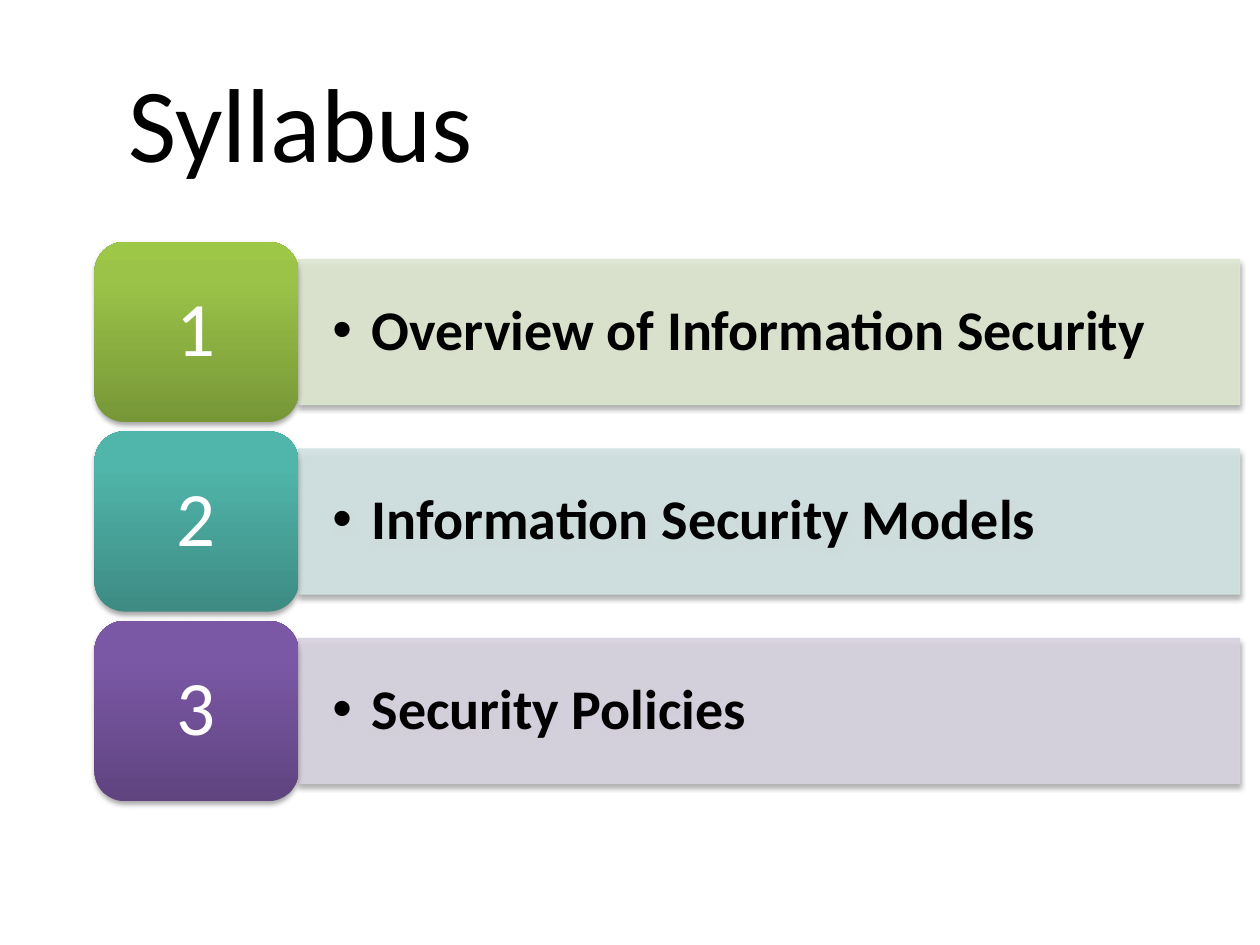
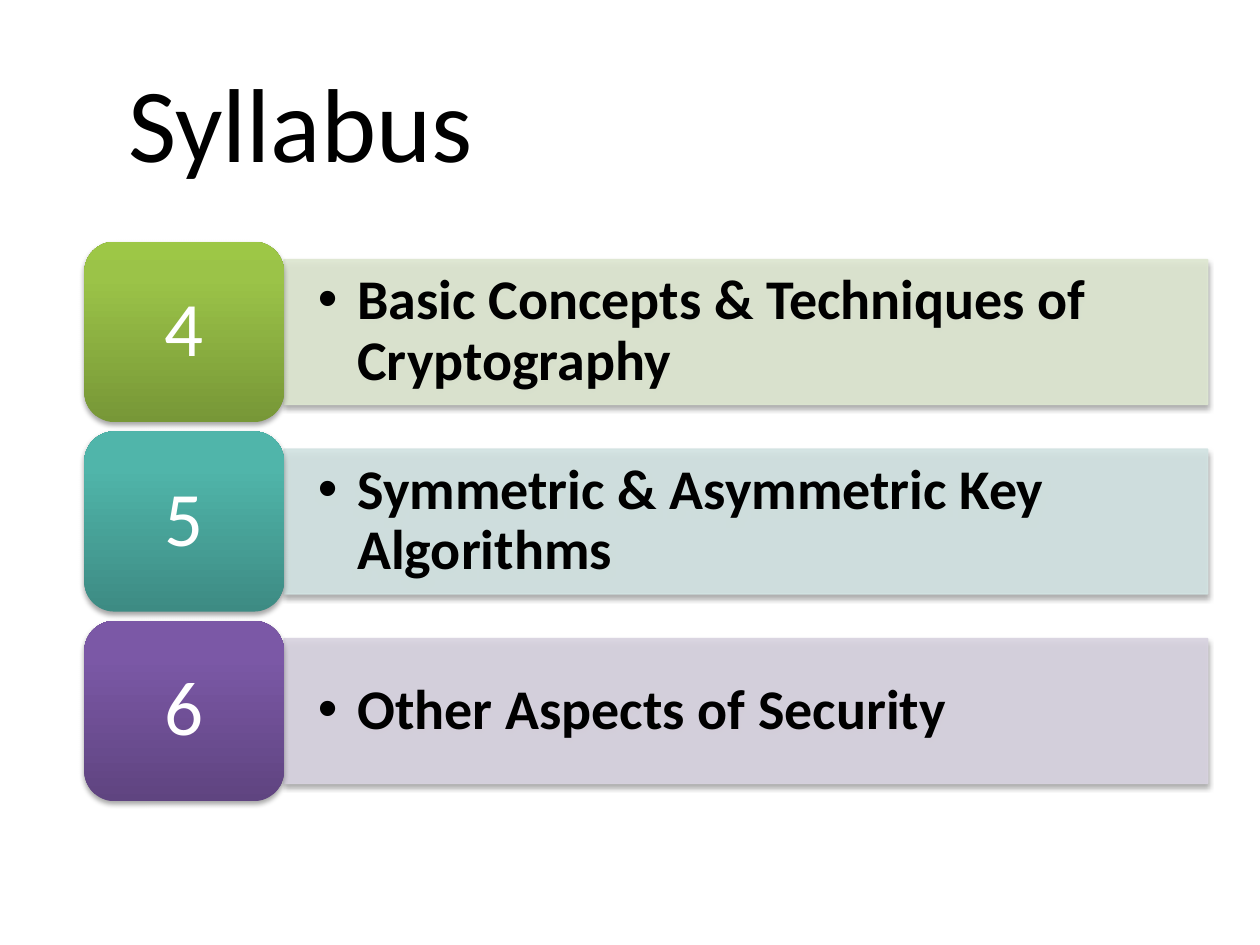
"""Build two syllabus slides with numbered topic rows."""
from copy import deepcopy

from lxml import etree
from pptx import Presentation
from pptx.dml.color import RGBColor
from pptx.enum.shapes import MSO_SHAPE
from pptx.enum.text import MSO_ANCHOR, PP_ALIGN
from pptx.oxml.ns import qn
from pptx.util import Pt

RECT, ROUND = MSO_SHAPE.RECTANGLE, MSO_SHAPE.ROUNDED_RECTANGLE
MIDDLE = MSO_ANCHOR.MIDDLE
LEFT, CENTER = PP_ALIGN.LEFT, PP_ALIGN.CENTER

TOP, STEP = 138.2, 108.3
TILE_H, BAR_H = 103, 82.8
STOPS = (0, 0.8, 1)
ROWS = (
    ("DEE7D1", ("779737", "9BC348", "9DC746")),
    ("D2E3E2", ("3D8B83", "50B5AA", "4EB8AC")),
    ("D8D3E0", ("5F4480", "7B58A6", "7C57A8")),
)
PAGES = (
    (54, 116.6, 537.8, 1, (
        "Overview of Information Security",
        "Information Security Models",
        "Security Policies")),
    (48.2, 114.1, 527.8, 4, (
        "Basic Concepts & Techniques of Cryptography",
        "Symmetric & Asymmetric Key Algorithms",
        "Other Aspects of Security")),
)


def rgb(code):
    return RGBColor.from_string(code)


def apply(obj, form):
    for name, value in form.items():
        setattr(obj, name, value)


def add(parent, tag, **attrs):
    return etree.SubElement(
        parent, qn(tag), {key: str(value) for key, value in attrs.items()})


class Deck:
    face = "Calibri"
    title_font = {"size": Pt(60), "bold": False}
    tile_font = {"size": Pt(44), "bold": False}
    bar_font = {"size": Pt(32), "bold": True}

    def __init__(self):
        self.prs = Presentation()
        apply(self.prs, {"slide_width": Pt(720), "slide_height": Pt(540)})
        self.slide = None

    def page(self, text):
        self.slide = self.prs.slides.add_slide(self.prs.slide_layouts[5])
        head = self.slide.shapes.title
        apply(head, {"left": Pt(66.2), "top": Pt(23.8),
                     "width": Pt(635.8), "height": Pt(90)})
        self.label(head, text, self.title_font, "000000", LEFT)

    def label(self, shape, text, font, color, align, pad=(7.2, 3.6)):
        frame = shape.text_frame
        side, edge = map(Pt, pad)
        apply(frame, {"word_wrap": True, "vertical_anchor": MIDDLE,
                      "margin_left": side, "margin_right": side,
                      "margin_top": edge, "margin_bottom": edge})
        para = frame.paragraphs[0]
        para.alignment = align
        run = para.add_run()
        run.text = text
        apply(run.font, {"name": self.face, **font})
        run.font.color.rgb = rgb(color)
        return para

    def box(self, kind, *place):
        return self.slide.shapes.add_shape(kind, *map(Pt, place))

    def shade(self, shape):
        shape.shadow.inherit = False
        effect = shape.element.spPr.find(qn("a:effectLst"))
        cast = add(effect, "a:outerShdw", blurRad=Pt(3.1), dist=Pt(1.8),
                   dir=5400000, rotWithShape=0)
        tint = add(cast, "a:srgbClr", val="000000")
        add(tint, "a:alpha", val=35000)

    def bar(self, place, text, color):
        shape = self.box(RECT, *place)
        shape.fill.solid()
        shape.fill.fore_color.rgb = rgb(color)
        shape.line.color.rgb = rgb(color)
        shape.line.width = Pt(0.75)
        for tint in shape.element.spPr.iter(qn("a:srgbClr")):
            add(tint, "a:alpha", val=90000)
        self.shade(shape)
        para = self.label(shape, text, self.bar_font, "000000", LEFT, (19.4, 10))
        para.line_spacing = 0.9
        props = para._p.get_or_add_pPr()
        props.set("marL", str(Pt(22.5)))
        props.set("indent", str(-Pt(22.5)))
        add(props, "a:buFont", typeface="Arial")
        add(props, "a:buChar", char="•")

    def tile(self, place, text, colors):
        shape = self.box(ROUND, *place)
        fill = shape.fill
        fill.gradient()
        fill.gradient_angle = 90
        stops = shape.element.spPr.find(".//" + qn("a:gsLst"))
        stops.append(deepcopy(stops[0]))
        for stop, spot, color in zip(fill.gradient_stops, STOPS, colors):
            stop.position = spot
            stop.color.rgb = rgb(color)
        shape.line.fill.background()
        self.shade(shape)
        para = self.label(shape, text, self.tile_font, "FFFFFF", CENTER, (18, 11.5))
        para.line_spacing = 0.9


def main():
    deck = Deck()
    for left, wide, span, first, topics in PAGES:
        deck.page("Syllabus")
        for row, (topic, (pale, ramp)) in enumerate(zip(topics, ROWS)):
            top = TOP + row * STEP
            inset = (TILE_H - BAR_H) / 2
            deck.bar((left + wide, top + inset, span, BAR_H), topic, pale)
            deck.tile((left, top, wide, TILE_H), str(first + row), ramp)
    deck.prs.save("out.pptx")


if __name__ == "__main__":
    main()
